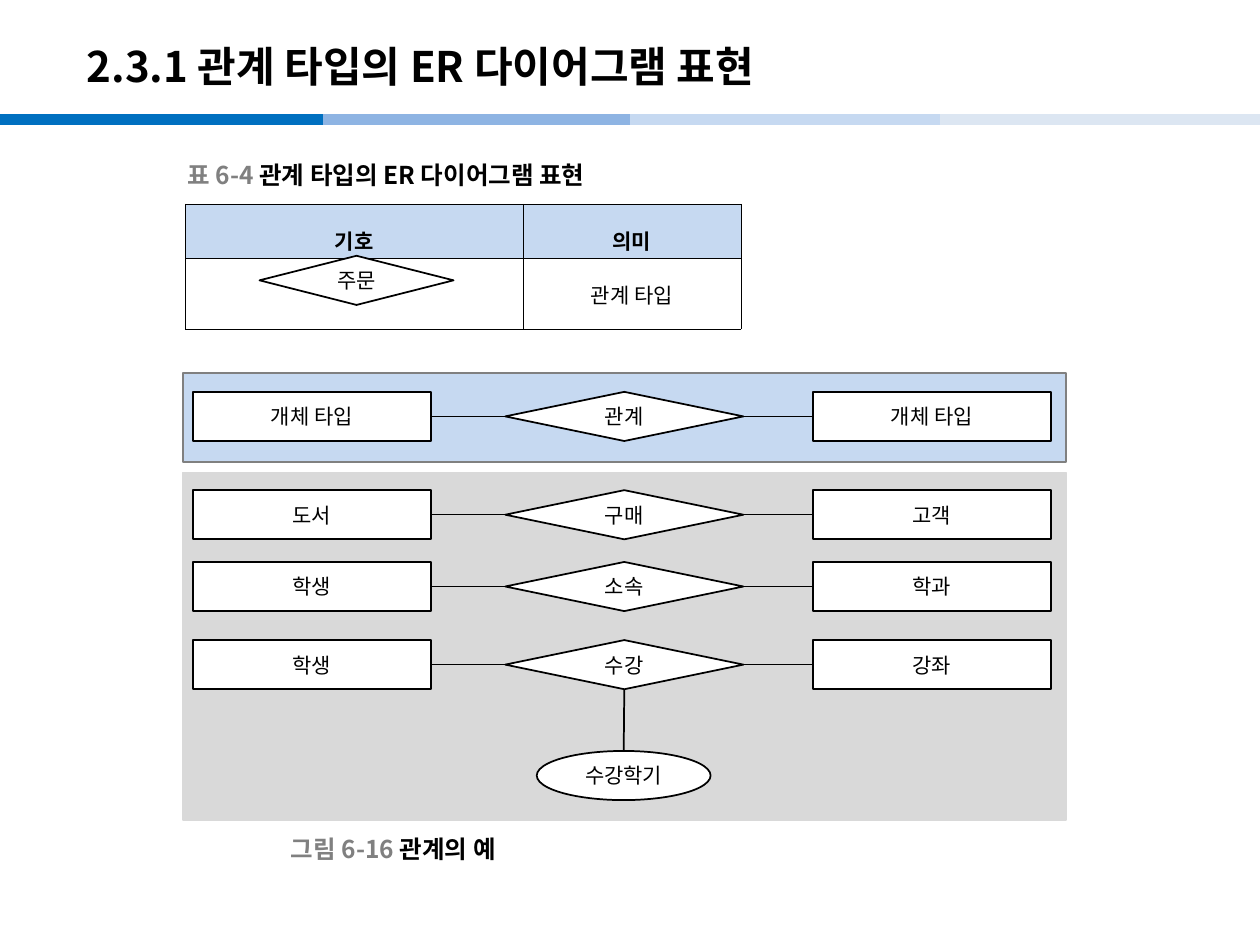
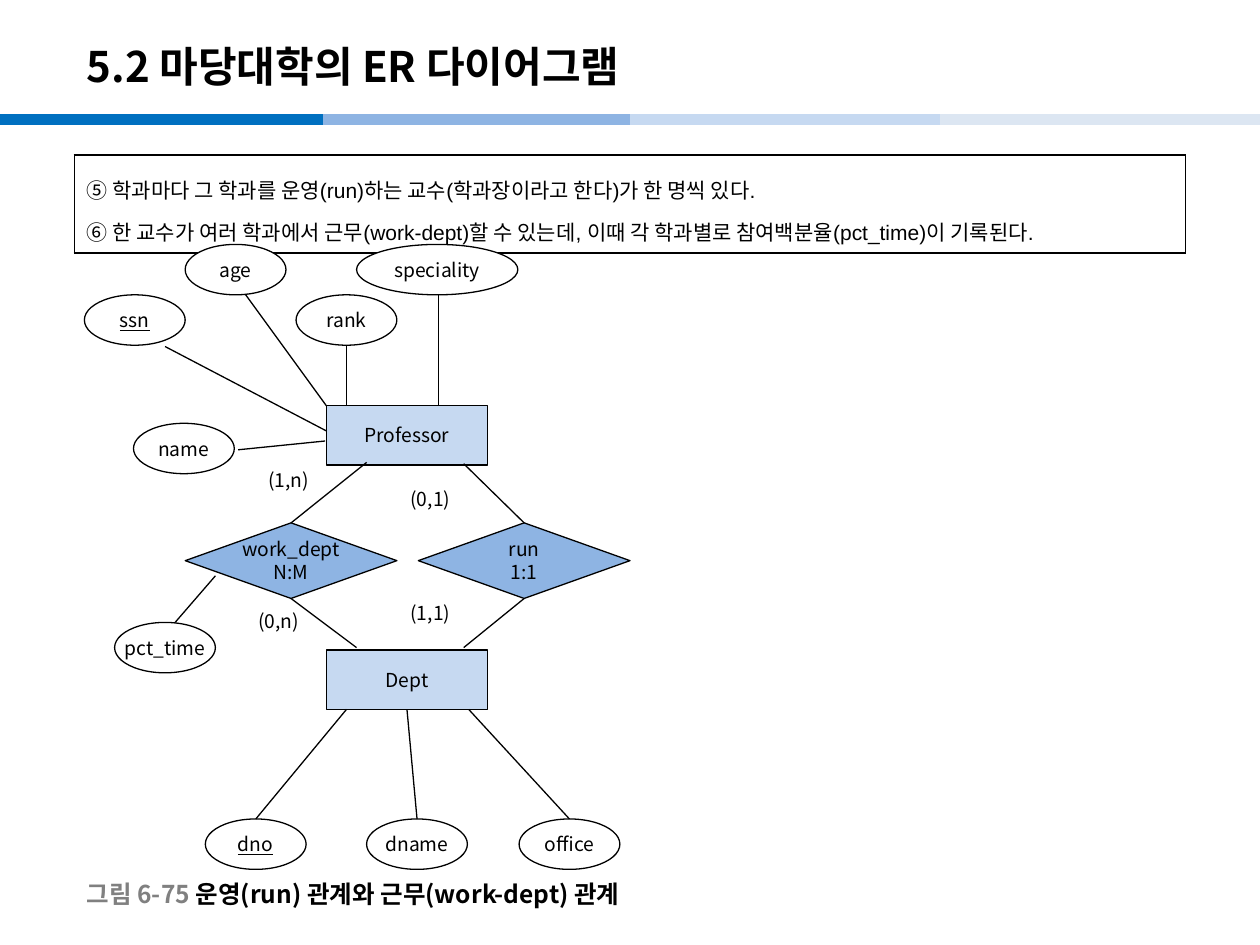
from lxml.etree import SubElement
from pptx import Presentation
from pptx.dml.color import RGBColor
from pptx.enum.shapes import MSO_CONNECTOR, MSO_SHAPE
from pptx.enum.text import MSO_ANCHOR, PP_ALIGN
from pptx.oxml import parse_xml
from pptx.oxml.ns import nsdecls, qn
from pptx.util import Inches, Pt

COLORS = {
    "black": "000000", "white": "FFFFFF", "gray": "808080", "panel": "D9D9D9",
    "blue": "0070C0", "medium": "8EB4E3", "light": "C6D9F1", "pale": "DCE6F2",
}
FONT = "Noto Sans CJK KR"
TABLE_FONT = "Arial"
TOP, LEFT, BOTTOM, RIGHT = range(4)


def color(name):
    return RGBColor.from_string(COLORS[name])


class Deck:
    """Holds the shared style and the current slide."""

    def __init__(self):
        self.presentation = Presentation()
        self.presentation.slide_width = Inches(10)
        self.presentation.slide_height = Inches(7.5)
        self.slide = None

    def new_slide(self, title):
        self.slide = self.presentation.slides.add_slide(self.presentation.slide_layouts[6])
        # Four-colour band below the title
        for start, name in zip((0, 2.56, 5, 7.46), ("blue", "medium", "light", "pale")):
            self.line((start, 0.95), (min(start + 2.56, 10), 0.95), 6, name)
        self.text((0.59, 0.22, 8.27, 0.6), [(title, "black")], 24, bold=True)

    def add_run(self, paragraph, text, size, name="black", bold=False,
                underline=False, font=FONT):
        run = paragraph.add_run()
        run.text = text
        run.font.name = font
        run.font.size = Pt(size)
        run.font.bold = bold
        if underline:
            run.font.underline = True
        run.font.color.rgb = color(name)
        SubElement(run.font._element, qn("a:ea")).set("typeface", FONT)

    def text(self, box, runs, size, bold=False, anchor=MSO_ANCHOR.MIDDLE):
        shape = self.slide.shapes.add_textbox(*map(Inches, box))
        frame = shape.text_frame
        frame.word_wrap = True
        frame.vertical_anchor = anchor
        for text, name in runs:
            self.add_run(frame.paragraphs[0], text, size, name, bold)

    def caption(self, left, top, width, number, title):
        self.text((left, top, width, 0.31), [(number + " ", "gray"), (title, "black")],
                  14, bold=True)

    def shape(self, kind, box, lines=(), fill="white", outline="black", weight=1.0,
              size=12, wrap=True, underline=False, side_margin=0.1):
        shape = self.slide.shapes.add_shape(kind, *map(Inches, box))
        shape.shadow.inherit = False
        shape.fill.solid()
        shape.fill.fore_color.rgb = color(fill)
        shape.line.color.rgb = color(outline)
        shape.line.width = Pt(weight)
        frame = shape.text_frame
        frame.word_wrap = wrap
        frame.vertical_anchor = MSO_ANCHOR.MIDDLE
        frame.margin_left = frame.margin_right = Inches(side_margin)
        for index, line in enumerate(lines):
            paragraph = frame.add_paragraph() if index else frame.paragraphs[0]
            paragraph.alignment = PP_ALIGN.CENTER
            self.add_run(paragraph, line, size, underline=underline)
        return shape

    def line(self, begin, end, weight=0.75, name="black"):
        """Each end is a point (x, y) or a joint (shape, side)."""
        joined = [not isinstance(target[0], (int, float)) for target in (begin, end)]
        points = [(0, 0) if joint else target for joint, target in zip(joined, (begin, end))]
        connector = self.slide.shapes.add_connector(
            MSO_CONNECTOR.STRAIGHT, *(Inches(value) for point in points for value in point))
        if joined[0]:
            connector.begin_connect(*begin)
        if joined[1]:
            connector.end_connect(*end)
        connector.line.color.rgb = color(name)
        connector.line.width = Pt(weight)
        SubElement(connector._element.spPr, qn("a:effectLst"))

    def table(self, left, top, widths, heights, border):
        graphic = self.slide.shapes.add_table(
            len(heights), len(widths),
            *map(Inches, (left, top, sum(widths), sum(heights))))
        table = graphic.table
        table.first_row = table.horz_banding = False
        for column, width in zip(table.columns, widths):
            column.width = Inches(width)
        for row, height in zip(table.rows, heights):
            row.height = Inches(height)
        for cell in table.iter_cells():
            cell.fill.solid()
            cell.fill.fore_color.rgb = color("white")
            cell.vertical_anchor = MSO_ANCHOR.MIDDLE
            for index, side in enumerate("LRTB"):
                cell._tc.tcPr.insert(index, parse_xml(
                    f'<a:ln{side} {nsdecls("a")} w="{int(Pt(border))}"><a:solidFill>'
                    f'<a:srgbClr val="{COLORS["black"]}"/></a:solidFill></a:ln{side}>'))
        return table

    def cell_text(self, cell, lines, spacing, alignment=PP_ALIGN.LEFT, bold=False):
        for index, line in enumerate(lines):
            frame = cell.text_frame
            paragraph = frame.add_paragraph() if index else frame.paragraphs[0]
            paragraph.alignment = alignment
            paragraph.line_spacing = spacing
            self.add_run(paragraph, line, 12, bold=bold, font=TABLE_FONT)


def relationship_notation(deck):
    deck.new_slide("2.3.1 관계 타입의 ER 다이어그램 표현")

    # Symbol table
    deck.caption(1.39, 1.23, 4.5, "표 6-4", "관계 타입의 ER 다이어그램 표현")
    table = deck.table(1.47, 1.62, (2.68, 1.73), (0.43, 0.56), 0.28)
    for cell in table.iter_cells():
        cell.margin_left = cell.margin_right = Inches(0.07)
        cell.margin_top = cell.margin_bottom = Inches(0.02)
    for column, heading in enumerate(("기호", "의미")):
        cell = table.cell(0, column)
        cell.fill.fore_color.rgb = color("light")
        deck.cell_text(cell, [heading], 1.6, PP_ALIGN.CENTER, bold=True)
    deck.cell_text(table.cell(1, 1), ["관계 타입"], Pt(18), PP_ALIGN.CENTER)
    deck.shape(MSO_SHAPE.FLOWCHART_DECISION, (2.06, 2.03, 1.54, 0.39), ["주문"])

    # Panels behind the diagrams
    deck.shape(MSO_SHAPE.RECTANGLE, (1.45, 3.75, 7.01, 2.76), fill="panel", outline="panel")
    deck.shape(MSO_SHAPE.RECTANGLE, (1.45, 2.96, 7.01, 0.71), fill="light", outline="gray")

    # Entity - relationship - entity rows
    rows = [
        (3.11, "개체 타입", "관계", "개체 타입"),
        (3.89, "도서", "구매", "고객"),
        (4.46, "학생", "소속", "학과"),
        (5.08, "학생", "수강", "강좌"),
    ]
    for top, first, relation, second in rows:
        first_entity, diamond, second_entity = (
            deck.shape(kind, (left, top, 1.89, 0.39), [name])
            for kind, left, name in ((MSO_SHAPE.RECTANGLE, 1.53, first),
                                     (MSO_SHAPE.FLOWCHART_DECISION, 4.01, relation),
                                     (MSO_SHAPE.RECTANGLE, 6.45, second)))
        deck.line((diamond, LEFT), (first_entity, RIGHT))
        deck.line((second_entity, LEFT), (diamond, RIGHT))

    # Attribute of the last relationship
    semester = deck.shape(MSO_SHAPE.OVAL, (4.26, 5.96, 1.38, 0.39), ["수강학기"], side_margin=0)
    deck.line((diamond, BOTTOM), (semester, TOP), 1)
    deck.caption(2.21, 6.58, 2.5, "그림 6-16", "관계의 예")


def university_diagram(deck):
    deck.new_slide("5.2 마당대학의 ER 다이어그램")

    # Requirements
    table = deck.table(0.59, 1.23, (8.82,), (0.78,), 1)
    deck.cell_text(table.cell(0, 0), [
        "⑤ 학과마다 그 학과를 운영(run)하는 교수(학과장이라고 한다)가 한 명씩 있다.",
        "⑥ 한 교수가 여러 학과에서 근무(work-dept)할 수 있는데, 이때 각 학과별로 "
        "참여백분율(pct_time)이 기록된다.",
    ], 1.4)

    # Entities, relationships and attributes
    node = {"weight": 0.75, "size": 11, "wrap": False}
    professor, dept = (
        deck.shape(MSO_SHAPE.RECTANGLE, (2.59, top, 1.28, 0.47), [name], "light", **node)
        for name, top in (("Professor", 3.22), ("Dept", 5.16)))
    work, run = (
        deck.shape(MSO_SHAPE.DIAMOND, (left, 4.15, 1.68, 0.6), lines, "medium", **node)
        for left, lines in ((1.47, ("work_dept", "N:M")), (3.32, ("run", "1:1"))))
    attributes = {
        "age": (1.47, 1.94), "ssn": (0.67, 2.34), "rank": (2.35, 2.34),
        "speciality": (2.83, 1.94), "name": (1.06, 3.36), "pct_time": (0.91, 4.94),
        "dno": (1.63, 6.5), "dname": (2.91, 6.5), "office": (4.12, 6.5),
    }
    ovals = {}
    for name, (left, top) in attributes.items():
        width = 1.28 if name == "speciality" else 0.8
        ovals[name] = deck.shape(MSO_SHAPE.OVAL, (left, top, width, 0.4), [name],
                                 underline=name in ("ssn", "dno"), **node)

    # Links
    links = [
        ((1.31, 2.75), (2.59, 3.42)),
        ((1.95, 2.34), (2.59, 3.22)),
        ((2.75, 2.74), (2.75, 3.22)),
        ((3.48, 2.34), (3.48, 3.22)),
        ((1.89, 3.57), (2.58, 3.5)),
        ((1.71, 4.57), (1.39, 4.94)),
        ((work, TOP), (2.91, 3.67)),
        ((work, BOTTOM), (2.83, 5.14)),
        ((3.68, 3.68), (run, TOP)),
        ((run, BOTTOM), (3.68, 5.14)),
        ((2.75, 5.63), (ovals["dno"], TOP)),
        ((dept, BOTTOM), (ovals["dname"], TOP)),
        ((3.72, 5.63), (ovals["office"], TOP)),
    ]
    for begin, end in links:
        deck.line(begin, end)

    # Cardinalities
    for label, left, top, width in (("(1,n)", 2.03, 3.67, 0.64), ("(0,n)", 1.95, 4.79, 0.72),
                                    ("(1,1)", 3.16, 4.72, 0.56), ("(0,1)", 3.16, 3.82, 0.56)):
        deck.text((left, top, width, 0.26), [(label, "black")], 11, anchor=MSO_ANCHOR.TOP)
    deck.caption(0.59, 6.94, 6, "그림 6-75", "운영(run) 관계와 근무(work-dept) 관계")


def main():
    deck = Deck()
    relationship_notation(deck)
    university_diagram(deck)
    deck.presentation.save("out.pptx")


if __name__ == "__main__":
    main()
